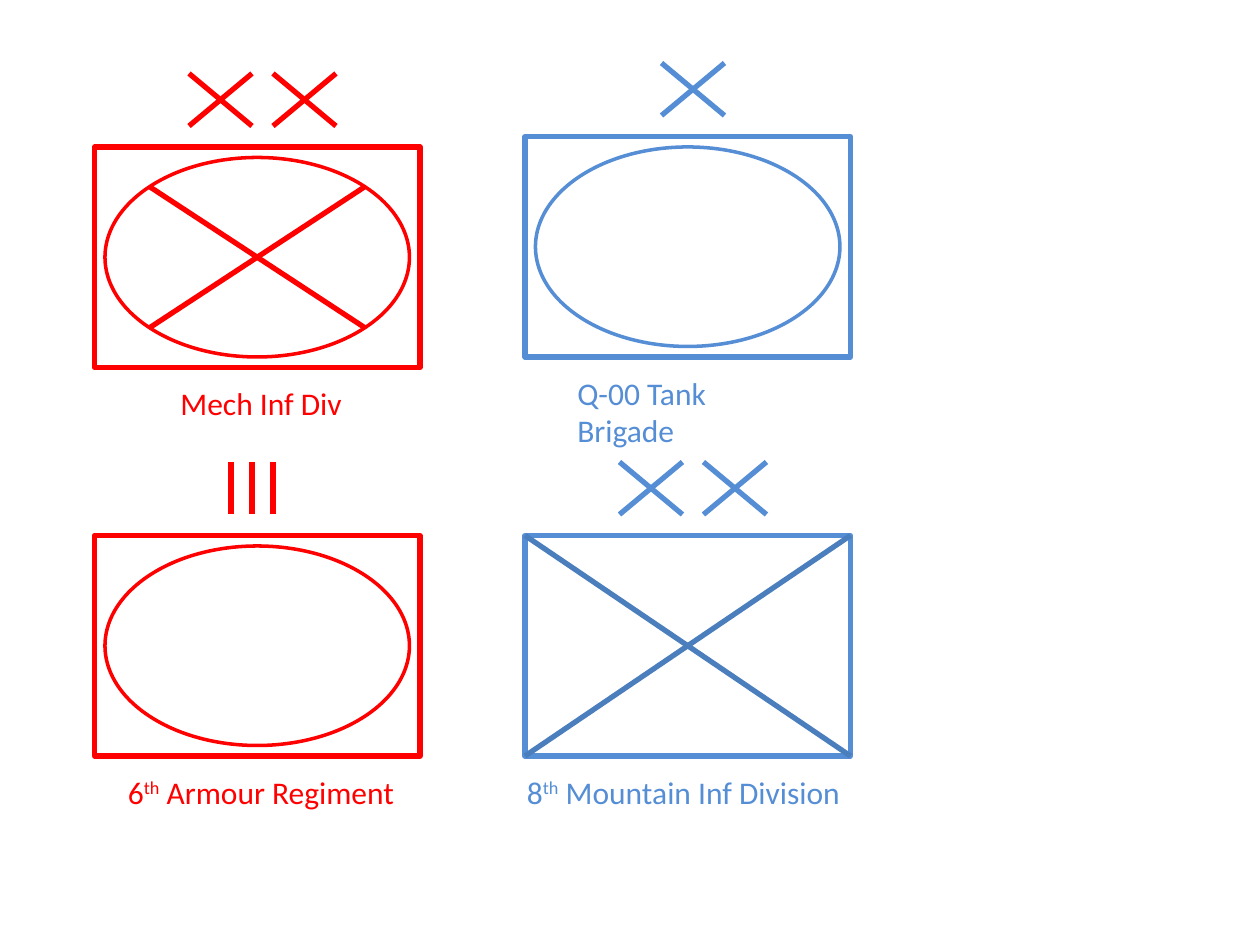
from math import sqrt

from lxml.etree import SubElement
from pptx import Presentation
from pptx.dml.color import RGBColor
from pptx.enum.shapes import MSO_CONNECTOR as CONNECTOR, MSO_SHAPE as SHAPE
from pptx.enum.text import MSO_AUTO_SIZE as AUTO_SIZE
from pptx.oxml.ns import qn
from pptx.util import Emu, Pt

# Content: label runs are (text, is superscript); label is (offset, width)
RED, BLUE, DARK_BLUE = "FF0000", "558ED5", "4B7EBC"
UNITS = [
    dict(at=(90, 140), color=RED, oval=True, cross=RED, echelon="XX",
         name=[("Mech Inf Div", False)], label=(70, 180)),
    dict(at=(500, 130), color=BLUE, oval=True, cross=None, echelon="X",
         name=[("Q-00 Tank Brigade", False)], label=(38, 242)),
    dict(at=(90, 510), color=RED, oval=True, cross=None, echelon="III",
         name=[("6", False), ("th", True), (" Armour Regiment", False)],
         label=(20, 283)),
    dict(at=(500, 510), color=BLUE, oval=False, cross=DARK_BLUE, echelon="XX",
         name=[("8", False), ("th", True), (" Mountain Inf Division", False)],
         label=(-10, 328)),
]

# Measures in px, 120 to the inch
FRAME_W, FRAME_H, INSET = 310, 210, 10
MARK_H, MARK_RISE = 50, 70
# Echelon mark: width, distance between marks, centre within the frame
MARKS = {"X": (60, 80, 160), "I": (0, 20, 150)}
LABEL_GAP, LABEL_H = 10, 48


def px(length):
    return Emu(round(length * 7620))


def rgb(color):
    return RGBColor.from_string(color)


def add_outline(group, kind, x, y, w, h, color, weight):
    outline = group.shapes.add_shape(kind, px(x), px(y), px(w), px(h))
    outline.shadow.inherit = False
    outline.fill.background()
    outline.line.color.rgb = rgb(color)
    outline.line.width = Pt(weight)


def add_stroke(group, x1, y1, x2, y2, color):
    stroke = group.shapes.add_connector(
        CONNECTOR.STRAIGHT, px(x1), px(y1), px(x2), px(y2))
    stroke.line.color.rgb = rgb(color)
    stroke.line.width = Pt(3)
    SubElement(stroke._element.spPr, qn("a:effectLst"))


def add_cross(group, x, y, w, h, color):
    add_stroke(group, x, y, x + w, y + h, color)
    add_stroke(group, x + w, y, x, y + h, color)


def add_echelon(group, x, y, marks, color):
    width, pitch, centre = MARKS[marks[0]]
    left = x + centre - (width + pitch * (len(marks) - 1)) / 2
    for i, mark in enumerate(marks):
        mark_x = left + i * pitch
        if mark == "X":
            add_cross(group, mark_x, y, width, MARK_H, color)
        else:
            add_stroke(group, mark_x, y, mark_x, y + MARK_H, color)


def add_label(group, x, y, width, name, color):
    label = group.shapes.add_textbox(px(x), px(y), px(width), px(LABEL_H))
    frame = label.text_frame
    frame.word_wrap = False
    frame.auto_size = AUTO_SIZE.SHAPE_TO_FIT_TEXT
    for text, raised in name:
        run = frame.paragraphs[0].add_run()
        run.text = text
        run.font.name = "Calibri"
        run.font.size = Pt(18)
        run.font.color.rgb = rgb(color)
        if raised:
            run._r.get_or_add_rPr().set("baseline", "30000")


def add_unit(slide, unit):
    x, y = unit["at"]
    color = unit["color"]
    group = slide.shapes.add_group_shape()

    # Frame and armour oval
    add_outline(group, SHAPE.RECTANGLE, x, y, FRAME_W, FRAME_H, color, 3)
    if unit["oval"]:
        add_outline(group, SHAPE.OVAL, x + INSET, y + INSET,
                    FRAME_W - 2 * INSET, FRAME_H - 2 * INSET, color, 2)

    # Infantry cross: ends on the oval, or on the frame corners without one
    if unit["cross"]:
        w, h = FRAME_W, FRAME_H
        if unit["oval"]:
            w, h = ((side - 2 * INSET) / sqrt(2) for side in (w, h))
        add_cross(group, x + (FRAME_W - w) / 2, y + (FRAME_H - h) / 2,
                  w, h, unit["cross"])

    # Echelon above, name below
    add_echelon(group, x, y - MARK_RISE, unit["echelon"], color)
    offset, width = unit["label"]
    add_label(group, x + offset, y + FRAME_H + LABEL_GAP, width,
              unit["name"], color)


def main():
    deck = Presentation()
    deck.slide_width, deck.slide_height = px(1200), px(900)
    slide = deck.slides.add_slide(deck.slide_layouts[6])
    for unit in UNITS:
        add_unit(slide, unit)
    deck.save("out.pptx")


if __name__ == "__main__":
    main()
